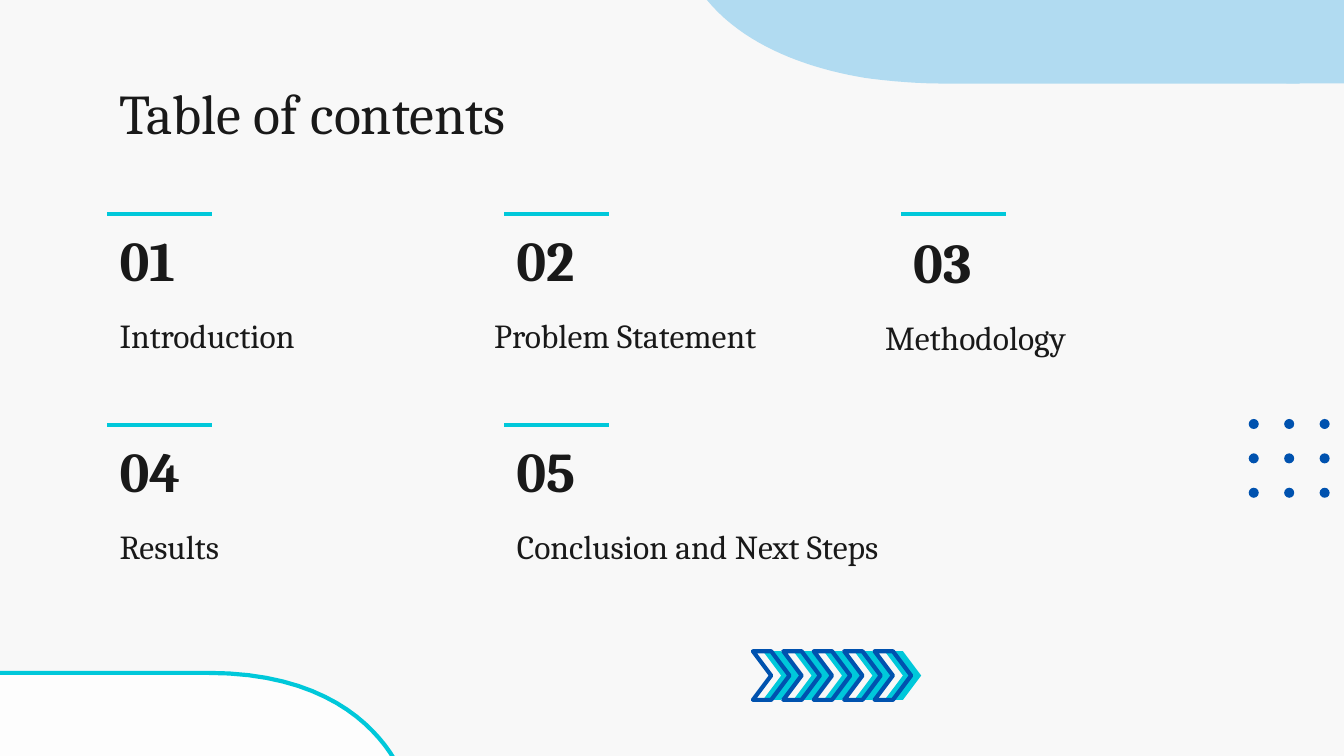
from dataclasses import dataclass

from lxml.etree import SubElement
from pptx import Presentation
from pptx.dml.color import RGBColor
from pptx.enum.shapes import MSO_CONNECTOR as Connector, MSO_SHAPE as Shape
from pptx.enum.text import MSO_ANCHOR as Anchor
from pptx.oxml.ns import qn
from pptx.util import Cm, Pt


@dataclass(frozen=True)
class Theme:
    font: str = "Cambria"
    paper: str = "F8F8F8"
    ink: str = "191919"
    sky: str = "B1DBF1"
    white: str = "FDFDFD"
    cyan: str = "00C8DA"
    blue: str = "0052AF"
    large: float = 30
    medium: float = 18
    stroke: float = 2.25
    inset: float = 0.25


def color(code):
    return RGBColor.from_string(code)


def curve(start, first, second, end, steps=24):
    """Points of a cubic Bezier curve, without its start."""
    points = []
    for step in range(1, steps + 1):
        t = step / steps
        weights = ((1 - t) ** 3, 3 * t * (1 - t) ** 2, 3 * t**2 * (1 - t), t**3)
        pairs = zip(start, first, second, end)
        points.append(tuple(
            sum(w * p[axis] for w, p in zip(weights, (start, first, second, end)))
            for axis in (0, 1)))
    return points


class Page:
    """Draws on one slide; all lengths are centimetres."""

    def __init__(self, slide, theme):
        self.shapes = slide.shapes
        self.theme = theme
        slide.background.fill.solid()
        slide.background.fill.fore_color.rgb = color(theme.paper)

    def paint(self, shape, fill, line):
        shape.shadow.inherit = False
        if fill:
            shape.fill.solid()
            shape.fill.fore_color.rgb = color(fill)
        else:
            shape.fill.background()
        if line:
            shape.line.color.rgb = color(line)
            shape.line.width = Pt(self.theme.stroke)
            SubElement(shape.element.spPr.find(qn("a:ln")), qn("a:round"))
        else:
            shape.line.fill.background()

    def shape(self, kind, left, top, width, height, fill=None, line=None):
        shape = self.shapes.add_shape(kind, Cm(left), Cm(top), Cm(width), Cm(height))
        self.paint(shape, fill, line)

    def outline(self, points, fill=None, line=None):
        corners = [(Cm(x), Cm(y)) for x, y in points]
        builder = self.shapes.build_freeform(*corners[0])
        builder.add_line_segments(corners[1:], close=True)
        self.paint(builder.convert_to_shape(), fill, line)

    def rule(self, left, top, width):
        line = self.shapes.add_connector(
            Connector.STRAIGHT, Cm(left), Cm(top), Cm(left + width), Cm(top))
        line.line.color.rgb = color(self.theme.cyan)
        line.line.width = Pt(self.theme.stroke)
        SubElement(line.element.spPr, qn("a:effectLst"))

    def text(self, words, left, top, width, height, size,
             bold=False, anchor=Anchor.TOP, margin=0, hanging=0):
        box = self.shapes.add_textbox(Cm(left), Cm(top), Cm(width), Cm(height))
        frame = box.text_frame
        frame.word_wrap = True
        frame.vertical_anchor = anchor
        inset = Cm(self.theme.inset)
        frame.margin_left = frame.margin_right = inset
        frame.margin_top = frame.margin_bottom = inset
        para = frame.paragraphs[0]
        if margin:
            properties = para._p.get_or_add_pPr()
            properties.set("marL", str(Cm(margin)))
            properties.set("indent", str(-Cm(hanging)))
        span = para.add_run()
        span.text = words
        span.font.name = self.theme.font
        span.font.size = Pt(size)
        span.font.bold = bold
        span.font.color.rgb = color(self.theme.ink)


def draw_corners(page):
    theme = page.theme
    left, middle, base = (13.36, 0), (16.33, 1.47), (17.78, 1.58)
    page.outline(
        [left, *curve(left, (14.2, 1.02), (15.62, 1.35), middle),
         *curve(middle, (16.66, 1.52), (17.27, 1.58), base),
         (24.56, 1.58), (24.56, 0)],
        fill=theme.sky)
    page.shape(Shape.RECTANGLE, 24.31, 0, 1.09, 1.58, fill=theme.sky)

    crest, foot = (3.94, 12.72), (7.7, 14.91)
    page.outline(
        [(-0.1, 14.91), (-0.1, 12.72), crest,
         *curve(crest, (7.19, 12.72), foot, foot)],
        fill=theme.white, line=theme.cyan)


def draw_dots(page):
    for row in range(3):
        for column in range(3):
            page.shape(Shape.OVAL, 23.6 + 0.67 * column, 7.92 + 0.65 * row,
                       0.19, 0.19, fill=page.theme.blue)


def draw_contents(page):
    theme = page.theme
    page.text("Table of contents", 2.01, 1.24, 21.41, 1.6, theme.large)
    # title, left, width, drop, margin and hanging indent
    entries = [
        ("Introduction", 2.01, 6.4, 0, 0, 0),
        ("Problem Statement", 9.09, 6.81, 0, 0, 0),
        ("Methodology", 16.48, 8.08, 0.04, 0, 0),
        ("Results", 2.01, 6.4, 0, 0, 0),
        ("Conclusion and Next Steps", 9.09, 9.98, 0, 1.27, 0.84),
    ]
    for index, (title, left, width, drop, margin, hanging) in enumerate(entries):
        row, column = divmod(index, 3)
        across, down = 7.5 * column, 3.99 * row
        page.rule(2.03 + across, 4.04 + down, 1.98)
        page.text(f"{index + 1:02}", 2.01 + across, 4.11 + down + drop, 2.03, 1.68,
                  theme.large, bold=True, anchor=Anchor.BOTTOM)
        page.text(title, left, 5.71 + down + drop, width, 1.24, theme.medium,
                  margin=margin, hanging=hanging)


def draw_chevrons(page):
    theme = page.theme
    for start, style in ((14.42, {"fill": theme.cyan}), (14.23, {"line": theme.blue})):
        for index in range(5):
            page.shape(Shape.CHEVRON, start + 0.575 * index, 12.31, 0.69, 0.92, **style)


def main():
    deck = Presentation()
    deck.slide_width, deck.slide_height = Cm(25.4), Cm(14.29)
    page = Page(deck.slides.add_slide(deck.slide_layouts[6]), Theme())
    draw_corners(page)
    draw_dots(page)
    draw_contents(page)
    draw_chevrons(page)
    deck.save("out.pptx")


if __name__ == "__main__":
    main()
